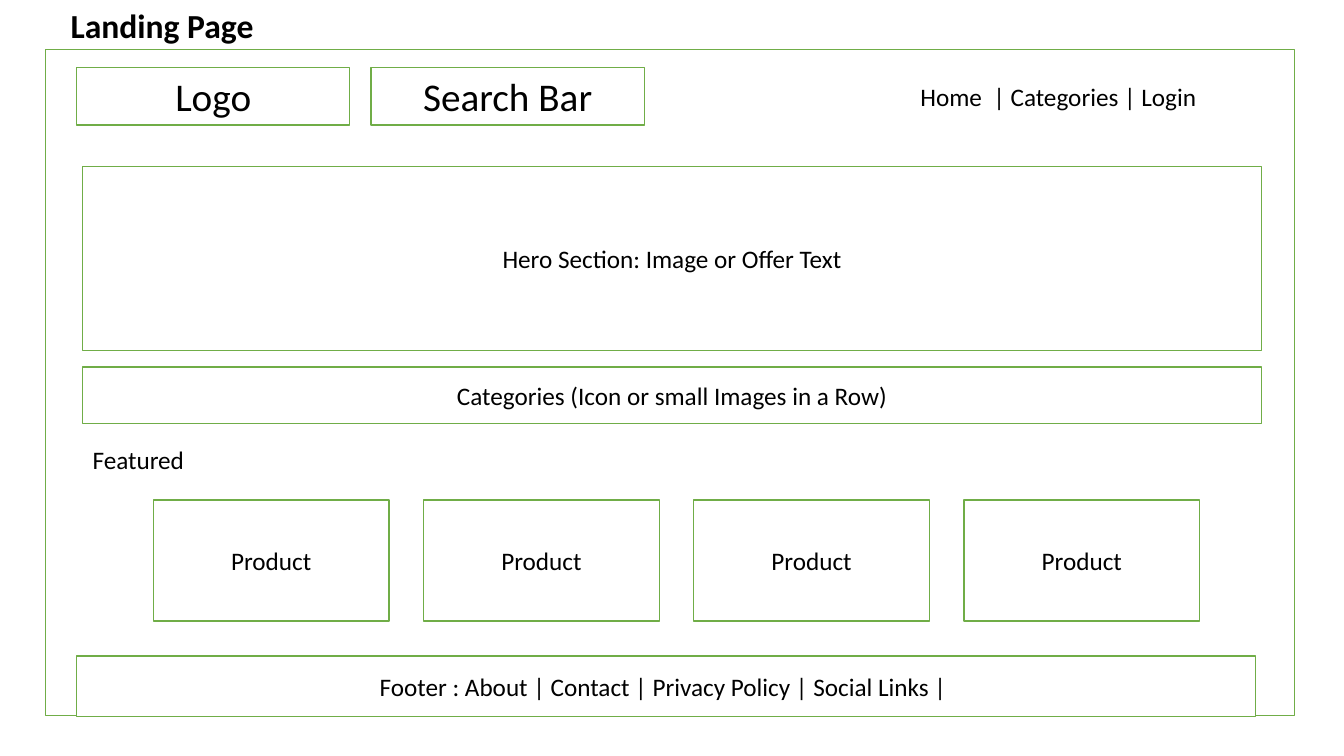
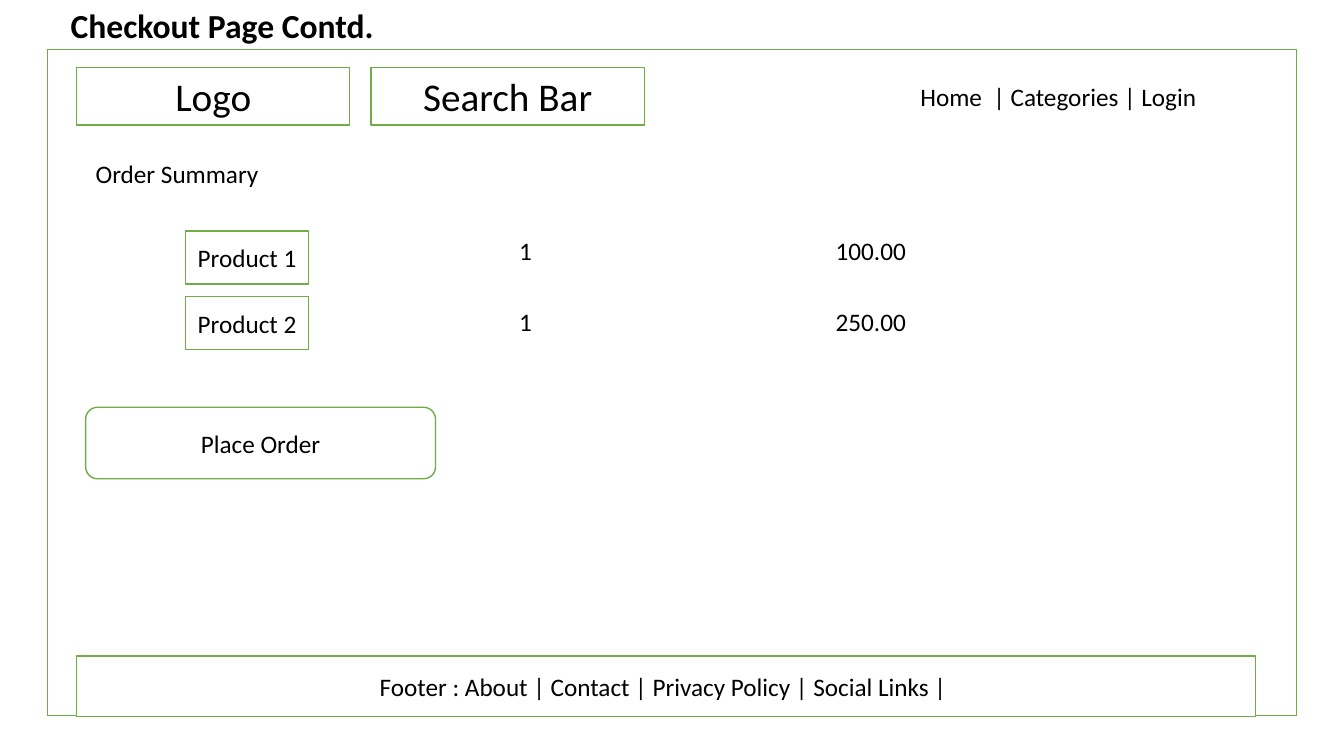
from dataclasses import dataclass

from pptx import Presentation
from pptx.dml.color import RGBColor
from pptx.enum.shapes import MSO_SHAPE
from pptx.enum.text import MSO_ANCHOR, MSO_AUTO_SIZE, PP_ALIGN
from pptx.util import Inches, Pt


@dataclass(frozen=True)
class Theme:
    font: str = "Calibri"
    ink: RGBColor = RGBColor(0x00, 0x00, 0x00)
    paper: RGBColor = RGBColor(0xFF, 0xFF, 0xFF)
    outline: RGBColor = RGBColor(0x70, 0xAD, 0x47)
    line: float = 1
    body: int = 18
    title: int = 24
    brand: int = 28


@dataclass(frozen=True)
class Box:
    x: float
    y: float
    w: float
    h: float

    def inner(self, dx, dy, w, h):
        """Return a box offset from this one's top left corner."""
        return Box(self.x + dx, self.y + dy, w, h)

    def emu(self):
        return [Inches(v) for v in (self.x, self.y, self.w, self.h)]


THEME = Theme()
TITLE = Box(0.6, 0, 3.63, 0.5)
HEADER = Box(0.76, 0.67, 12.5, 0.57)
FOOTER = Box(0.76, 6.51, 11.69, 0.6)
LABEL_H = 0.4


def write(tf, text, size=THEME.body, bold=False, align=PP_ALIGN.LEFT,
          anchor=MSO_ANCHOR.TOP):
    tf.word_wrap = True
    tf.auto_size = MSO_AUTO_SIZE.NONE
    tf.vertical_anchor = anchor
    p = tf.paragraphs[0]
    p.alignment = align
    r = p.add_run()
    r.text = text
    r.font.name = THEME.font
    r.font.size = Pt(size)
    r.font.bold = bold
    r.font.color.rgb = THEME.ink


def add_label(s, box, text):
    write(s.shapes.add_textbox(*box.emu()).text_frame, text)


def add_block(s, box, text="", size=THEME.body, shape=MSO_SHAPE.RECTANGLE):
    sp = s.shapes.add_shape(shape, *box.emu())
    sp.shadow.inherit = False
    sp.fill.solid()
    sp.fill.fore_color.rgb = THEME.paper
    sp.line.color.rgb = THEME.outline
    sp.line.width = Pt(THEME.line)
    if text:
        write(sp.text_frame, text, size=size, align=PP_ALIGN.CENTER,
              anchor=MSO_ANCHOR.MIDDLE)


def add_title(s, box, text):
    sp = s.shapes.title
    sp.left, sp.top, sp.width, sp.height = box.emu()
    write(sp.text_frame, text, size=THEME.title, bold=True)


def add_header(s, box):
    for i, text in enumerate(("Logo", "Search Bar")):
        add_block(s, box.inner(i * 2.92, 0, 2.71, box.h), text, size=THEME.brand)
    add_label(s, box.inner(8.27, 0.09, 4.23, LABEL_H), "Home  | Categories | Login")


def add_page(prs, title, frame):
    """Add a slide with the title, frame, header and footer of every page."""
    s = prs.slides.add_slide(prs.slide_layouts[5])
    add_title(s, TITLE, title)
    add_block(s, frame)
    add_header(s, HEADER)
    add_block(s, FOOTER, "Footer : About | Contact | Privacy Policy | Social Links | ")
    return s


def add_featured(s, box, count=4, card_w=2.34, card_h=1.2, indent=0.7):
    add_label(s, box.inner(0, 0, 2.44, LABEL_H), "Featured")
    pitch = (box.w - indent - card_w) / (count - 1)
    for i in range(count):
        add_block(s, box.inner(indent + i * pitch, box.h - card_h, card_w, card_h),
                  "Product")


def add_order_summary(s, box, items):
    add_label(s, box.inner(0, 0, 3.82, LABEL_H), "Order Summary")
    for i, (name, quantity, price) in enumerate(items):
        add_block(s, box.inner(0.99, 0.77 + i * 0.65, 1.22, 0.53), name)
        for dx, text in ((4.2, quantity), (7.34, price)):
            add_label(s, box.inner(dx, 0.77 + i * 0.7, 1, LABEL_H), text)


def landing_page(prs):
    s = add_page(prs, "Landing Page", Box(0.45, 0.49, 12.39, 6.61))
    content = Box(0.82, 1.65, 11.69, 4.51)
    add_block(s, content.inner(0, 0, content.w, 1.83),
              "Hero Section: Image or Offer Text")
    add_block(s, content.inner(0, 1.99, content.w, 0.56),
              "Categories (Icon or small Images in a Row)")
    add_featured(s, content.inner(0, 2.71, 11.08, 1.8))


def checkout_page(prs):
    s = add_page(prs, "Checkout Page Contd.", Box(0.47, 0.49, 12.39, 6.61))
    content = Box(0.85, 1.52, 11.6, 3.23)
    add_order_summary(s, content, [("Product 1", "1", "100.00"),
                                   ("Product 2", "1", "250.00")])
    add_block(s, content.inner(0, 2.52, 3.47, 0.71), "Place Order",
              shape=MSO_SHAPE.ROUNDED_RECTANGLE)


def main():
    prs = Presentation()
    prs.slide_width, prs.slide_height = Inches(13.33), Inches(7.5)
    landing_page(prs)
    checkout_page(prs)
    prs.save("out.pptx")


if __name__ == "__main__":
    main()
